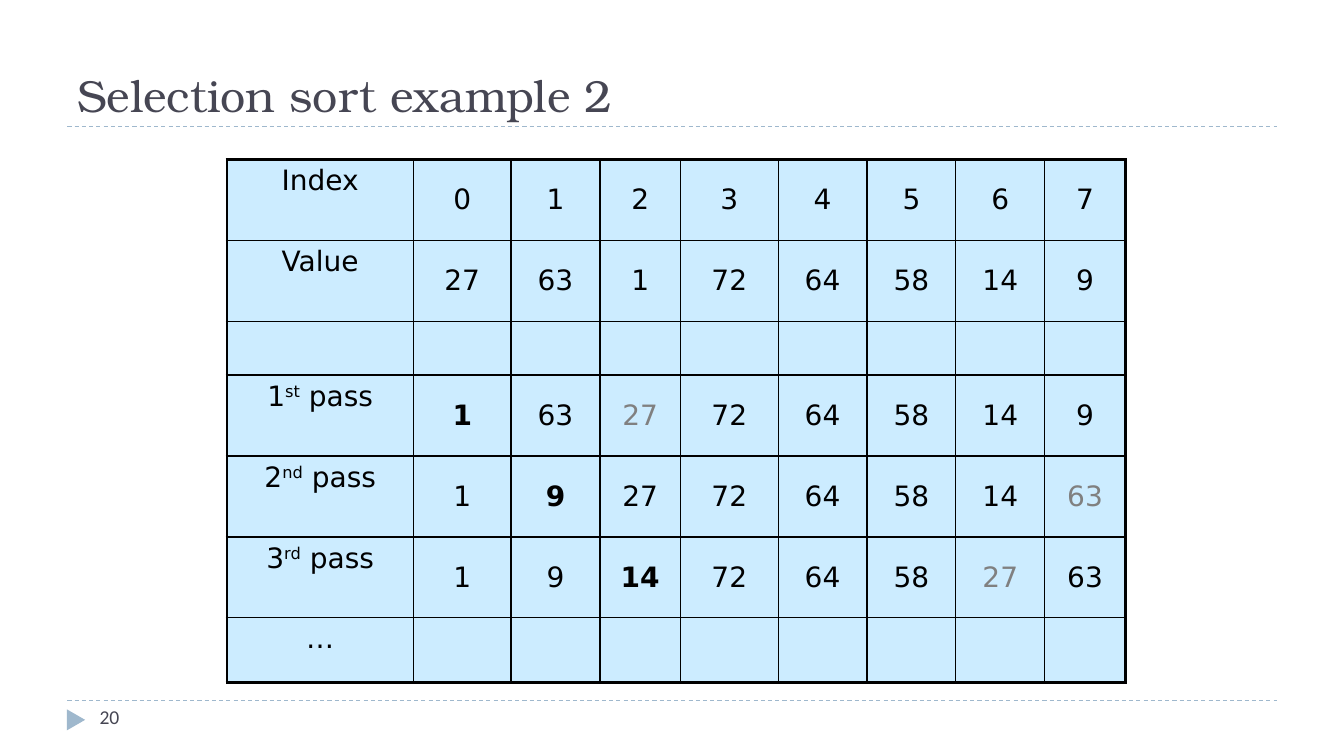
from dataclasses import dataclass

from lxml.etree import SubElement
from pptx import Presentation
from pptx.dml.color import RGBColor
from pptx.enum.dml import MSO_LINE_DASH_STYLE as Dash
from pptx.enum.shapes import MSO_CONNECTOR_TYPE as Link, MSO_SHAPE as Preset
from pptx.enum.text import MSO_ANCHOR as Anchor, PP_ALIGN as Align
from pptx.oxml.ns import qn
from pptx.slide import Slide
from pptx.table import Table, _Cell as Cell
from pptx.text.text import _Paragraph as Paragraph
from pptx.util import Cm, Pt

BLACK = RGBColor(0x00, 0x00, 0x00)
GREY = RGBColor(0x80, 0x80, 0x80)
SLATE = RGBColor(0x46, 0x46, 0x53)
STEEL = RGBColor(0x9F, 0xB8, 0xCD)
PALE_BLUE = RGBColor(0xCC, 0xEC, 0xFF)

COLUMN_WIDTHS = [4.7, 2.46, 2.24, 2.03, 2.46, 2.24, 2.24, 2.24, 2.03]
INNER_BORDER, OUTER_BORDER = 1, 2.25


@dataclass
class SortRow:
    label: str = ""
    ordinal: str = ""
    values: tuple[int, ...] = ()
    placed: int | None = None
    displaced: int | None = None
    height: float = 2.04


SORT_ROWS = [
    SortRow("Index", values=tuple(range(8))),
    SortRow("Value", values=(27, 63, 1, 72, 64, 58, 14, 9)),
    SortRow(height=1.35),
    SortRow("1", "st", (1, 63, 27, 72, 64, 58, 14, 9), placed=0, displaced=2),
    SortRow("2", "nd", (1, 9, 27, 72, 64, 58, 14, 63), placed=1, displaced=7),
    SortRow("3", "rd", (1, 9, 14, 72, 64, 58, 27, 63), placed=2, displaced=6),
    SortRow("…", height=1.63),
]


def add_text(para: Paragraph, text: str, *, size: float = 20, font: str = "DejaVu Sans",
             color: RGBColor = BLACK, bold: bool = False, baseline: int = 0) -> None:
    span = para.add_run()
    span.text = text
    span.font.size = Pt(size)
    span.font.name = font
    span.font.bold = bold
    span.font.color.rgb = color
    if baseline:
        span.font._element.set("baseline", str(baseline * 1000))


def add_box(page: Slide, left: float, top: float, width: float, height: float,
            anchor: Anchor) -> Paragraph:
    box = page.shapes.add_textbox(Cm(left), Cm(top), Cm(width), Cm(height))
    box.text_frame.word_wrap = True
    box.text_frame.vertical_anchor = anchor
    return box.text_frame.paragraphs[0]


def add_rule(page: Slide, top: float) -> None:
    rule = page.shapes.add_connector(Link.STRAIGHT, Cm(1.7), Cm(top), Cm(32.18), Cm(top))
    rule.line.color.rgb = STEEL
    rule.line.width = Pt(0.75)
    rule.line.dash_style = Dash.DASH
    SubElement(rule._element.spPr, qn("a:effectLst"))


def add_page_marker(page: Slide) -> None:
    marker = page.shapes.add_shape(Preset.ISOSCELES_TRIANGLE, Cm(1.65), Cm(17.91), Cm(0.53), Cm(0.46))
    marker.rotation = 90
    marker.shadow.inherit = False
    marker.fill.solid()
    marker.fill.fore_color.rgb = STEEL
    marker.line.fill.background()


def style_cell(cell: Cell, outer_sides: dict[str, bool]) -> None:
    properties = cell._tc.get_or_add_tcPr()
    for side, outer in outer_sides.items():
        width = Pt(OUTER_BORDER if outer else INNER_BORDER)
        border = SubElement(properties, qn(f"a:ln{side}"), w=str(int(width)))
        paint = SubElement(border, qn("a:solidFill"))
        SubElement(paint, qn("a:srgbClr"), val=str(BLACK))
    cell.fill.solid()
    cell.fill.fore_color.rgb = PALE_BLUE


def centred_paragraph(cell: Cell) -> Paragraph:
    para = cell.text_frame.paragraphs[0]
    para.alignment = Align.CENTER
    spacing = SubElement(para._p.get_or_add_pPr(), qn("a:spcBef"))
    SubElement(spacing, qn("a:spcPct"), val="20000")
    return para


def fill_row(table: Table, index: int, row: SortRow) -> None:
    table.rows[index].height = Cm(row.height)
    for column in range(len(COLUMN_WIDTHS)):
        style_cell(table.cell(index, column), {
            "L": column == 0,
            "R": column == len(COLUMN_WIDTHS) - 1,
            "T": index == 0,
            "B": index == len(SORT_ROWS) - 1,
        })
    if row.label:
        para = centred_paragraph(table.cell(index, 0))
        add_text(para, row.label)
        if row.ordinal:
            add_text(para, row.ordinal, baseline=30)
            add_text(para, " pass")
    for position, value in enumerate(row.values):
        cell = table.cell(index, position + 1)
        cell.vertical_anchor = Anchor.MIDDLE
        add_text(centred_paragraph(cell), str(value), bold=position == row.placed,
                 color=GREY if position == row.displaced else BLACK)


def add_sort_table(page: Slide) -> None:
    table = page.shapes.add_table(
        len(SORT_ROWS), len(COLUMN_WIDTHS), Cm(5.72), Cm(4.02),
        Cm(sum(COLUMN_WIDTHS)), Cm(sum(row.height for row in SORT_ROWS))).table
    table.first_row = False
    table.horz_banding = False
    for column, width in zip(table.columns, COLUMN_WIDTHS):
        column.width = Cm(width)
    for index, row in enumerate(SORT_ROWS):
        fill_row(table, index, row)


def main() -> None:
    deck = Presentation()
    deck.slide_width, deck.slide_height = Cm(33.87), Cm(19.05)
    page = deck.slides.add_slide(deck.slide_layouts[6])
    for top in (17.65, 3.18):
        add_rule(page, top)
    add_page_marker(page)
    add_sort_table(page)
    add_text(add_box(page, 1.7, 0.64, 30.48, 2.54, Anchor.BOTTOM), "Selection sort example 2",
             size=32, font="TeX Gyre Bonum", color=SLATE)
    add_text(add_box(page, 2.26, 17.65, 7.34, 1.02, Anchor.TOP), "20",
             size=14, font="Calibri", color=SLATE)
    deck.save("out.pptx")


if __name__ == "__main__":
    main()
